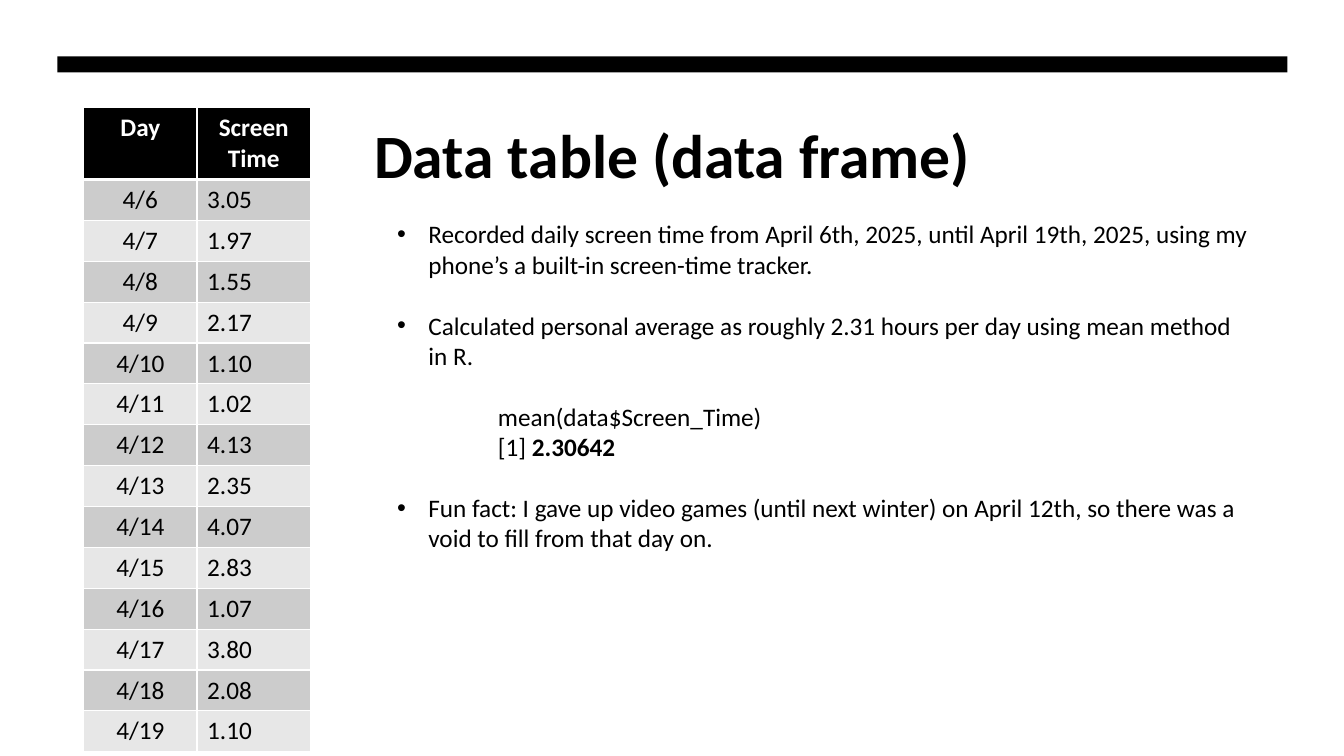
"""Build the screen time data table slide."""
from lxml import etree
from pptx import Presentation
from pptx.dml.color import RGBColor
from pptx.enum.shapes import MSO_SHAPE as Shape
from pptx.enum.text import MSO_ANCHOR as Anchor, PP_ALIGN as Align
from pptx.oxml.ns import qn
from pptx.util import Inches, Pt

BLACK = RGBColor(0, 0, 0)
WHITE = RGBColor(255, 255, 255)
BANDS = RGBColor(0xCC, 0xCC, 0xCC), RGBColor(0xE7, 0xE7, 0xE7)

TITLE = "Data table (data frame)"
HEAD = "Day", "Screen Time"
FIRST = 6
HOURS = ["3.05", "1.97", "1.55", "2.17", "1.10", "1.02", "4.13",
         "2.35", "4.07", "2.83", "1.07", "3.80", "2.08", "1.10"]
NOTES = [
    ("bullet", ["Recorded daily screen time from April 6th, 2025, until April 19th, 2025, "
                "using my phone’s a built-in screen-time tracker."], 0),
    ("bullet", ["Calculated personal average as roughly 2.31 hours per day "
                "using mean method in R."], 22),
    ("code", ["mean(data$Screen_Time)"], 22),
    ("code", ["[1] ", "2.30642"], 0),
    ("bullet", ["Fun fact: I gave up video games (until next winter) on April 12th, "
                "so there was a void to fill from that day on."], 22),
]
INDENT = {"bullet": (0.31, -0.31), "code": (1, 0)}

BODY = {"name": "Calibri", "size": Pt(18), "bold": False}
BOLD = BODY | {"bold": True}
LARGE = BOLD | {"size": Pt(44)}


def style(run, look, color=BLACK):
    """Apply a font look and color to a run."""
    for key, value in look.items():
        setattr(run.font, key, value)
    run.font.color.rgb = color


def edge(cell, side, width):
    """Draw one white border of a cell."""
    line = etree.SubElement(cell._tc.get_or_add_tcPr(), qn(f"a:ln{side}"), w=str(Pt(width)))
    fill = etree.SubElement(line, qn("a:solidFill"))
    etree.SubElement(fill, qn("a:srgbClr"), val=str(WHITE))


def add_bar(slide):
    """Add the black bar along the top."""
    bar = slide.shapes.add_shape(Shape.RECTANGLE, Inches(0.57), Inches(0.56),
                                 Inches(12.2), Inches(0.16))
    bar.shadow.inherit = False
    bar.fill.solid()
    bar.fill.fore_color.rgb = BLACK
    bar.line.fill.background()


def add_title(slide):
    """Place and format the title."""
    title = slide.shapes.title
    place = {"left": 0.57, "top": 1.07, "width": 12.2, "height": 1.6}
    for key, value in place.items():
        setattr(title, key, Inches(value))
    frame = title.text_frame
    frame.vertical_anchor = Anchor.TOP
    frame.margin_top = Inches(0.09)
    para = frame.paragraphs[0]
    para.alignment = Align.CENTER
    run = para.add_run()
    run.text = TITLE
    style(run, LARGE)


def add_days(slide):
    """Add the table of days and hours."""
    rows = [HEAD] + [(f"4/{day}", hour) for day, hour in enumerate(HOURS, FIRST)]
    table = slide.shapes.add_table(len(rows), 2, Inches(0.83), Inches(1.07),
                                   Inches(2.25), Inches(5.82)).table
    for row in table.rows:
        row.height = Inches(0.37)
    table.rows[0].height = Inches(0.64)
    for r, row in enumerate(rows):
        for c, text in enumerate(row):
            cell = table.cell(r, c)
            top, base = 3 if r == 1 else 1, 3 if r == 0 else 1
            for side, width in {"L": 1, "R": 1, "T": top, "B": base}.items():
                edge(cell, side, width)
            cell.fill.solid()
            cell.fill.fore_color.rgb = BANDS[(r - 1) % 2] if r else BLACK
            para = cell.text_frame.paragraphs[0]
            para.alignment = Align.LEFT if r and c else Align.CENTER
            run = para.add_run()
            run.text = text
            style(run, BODY if r else BOLD, BLACK if r else WHITE)


def add_notes(slide):
    """Add the bullets and the code lines."""
    frame = slide.shapes.add_textbox(Inches(3.84), Inches(2.12),
                                     Inches(8.71), Inches(3.43)).text_frame
    frame.word_wrap = True
    for i, (kind, parts, gap) in enumerate(NOTES):
        para = frame.add_paragraph() if i else frame.paragraphs[0]
        para.space_before = Pt(gap)
        props = para._p.get_or_add_pPr()
        for key, value in zip(("marL", "indent"), INDENT[kind]):
            props.set(key, str(Inches(value)))
        if kind == "bullet":
            etree.SubElement(props, qn("a:buFont"), typeface="Arial")
            etree.SubElement(props, qn("a:buChar"), char="•")
        for text, look in zip(parts, (BODY, BOLD)):
            run = para.add_run()
            run.text = text
            style(run, look)


def main():
    """Build and save the deck."""
    deck = Presentation()
    deck.slide_width, deck.slide_height = Inches(13.33), Inches(7.5)
    slide = deck.slides.add_slide(deck.slide_layouts[5])
    for add in (add_bar, add_title, add_days, add_notes):
        add(slide)
    deck.save("out.pptx")


if __name__ == "__main__":
    main()
